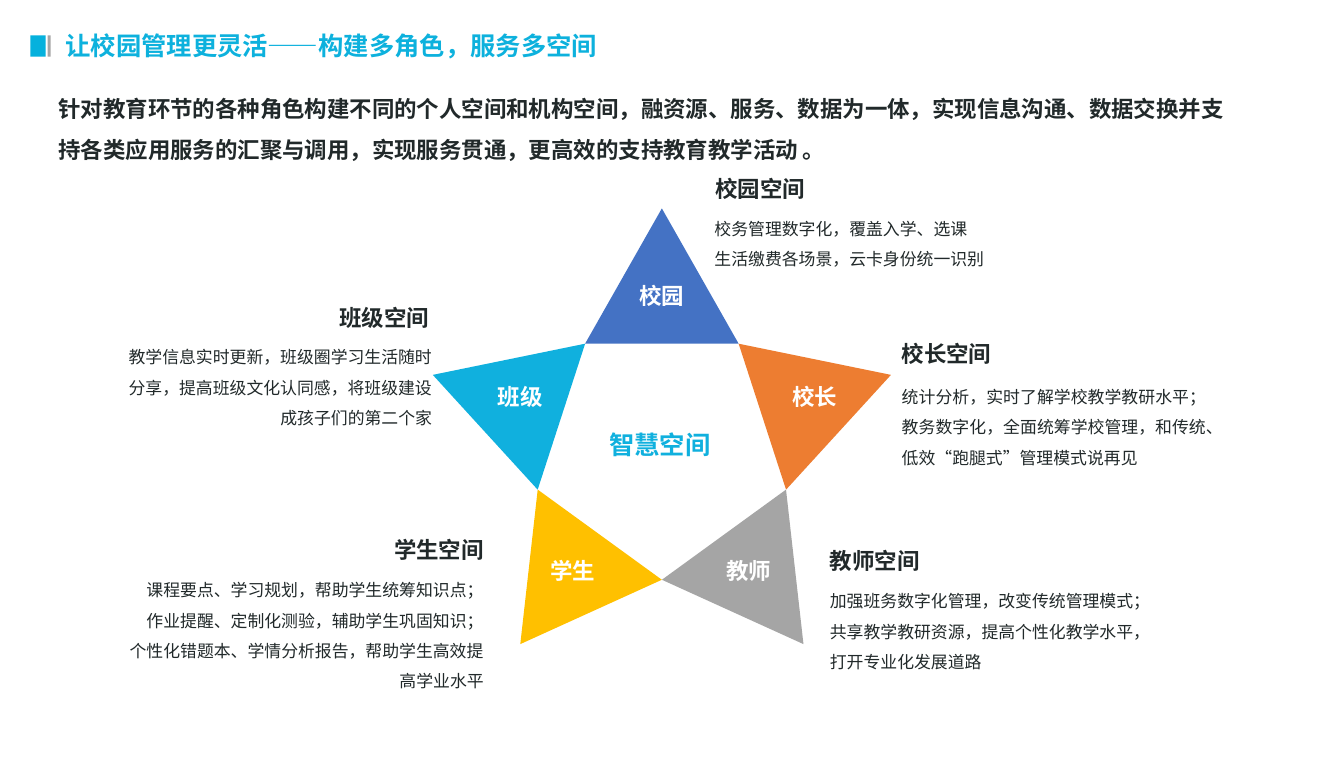
"""Build a slide showing the five role spaces of a smart campus as a star."""
import math

import pptx
import pptx.dml.color
import pptx.enum.shapes
import pptx.enum.text
import pptx.util

CELL = 0.1
COLUMNS, ROWS = 132.8, 75.2
COLORS = {
    "ink": "21292A", "white": "FFFFFF", "title": "0DB1DD", "cyan": "10B0DE",
    "marker": "05B1DD", "marker_gray": "A6A6A6", "blue": "4472C4",
    "orange": "ED7D31", "gray": "A5A5A5", "yellow": "FFC000",
}

TITLE = "让校园管理更灵活——构建多角色，服务多空间"
INTRO = ("针对教育环节的各种角色构建不同的个人空间和机构空间，融资源、服务、数据为一体，"
         "实现信息沟通、数据交换并支持各类应用服务的汇聚与调用，实现服务贯通，"
         "更高效的支持教育教学活动 。")
CENTER_LABEL = "智慧空间"

CENTER = (65.4, 44.4)
TIP_RADIUS, INNER_RADIUS = 23.8, 12.9
LABEL_SIZE = (5.2, 2.7)
HEADING_SIZE = (18.4, 2.7)

SPACES = [
    {"role": "校园", "color": "blue", "label": (62.8, 27.9), "heading": (70.7, 17.3),
     "body": (70.6, 20.6, 30.8, 5.7), "align": "JUSTIFY", "font": "Lato",
     "lines": ["校务管理数字化，覆盖入学、选课", "生活缴费各场景，云卡身份统一识别"]},
    {"role": "校长", "color": "orange", "label": (77.9, 37.9), "heading": (89.1, 33.6),
     "body": (89.1, 37.2, 30.1, 8.7), "align": "JUSTIFY", "font": "Arial",
     "lines": ["统计分析，实时了解学校教学教研水平；教务数字化，全面统筹学校管理，"
               "和传统、低效“跑腿式”管理模式说再见"]},
    {"role": "教师", "color": "gray", "label": (71.4, 55), "heading": (82, 54.1),
     "body": (82, 57.4, 32.2, 8.7), "align": "JUSTIFY", "font": "Lato",
     "lines": ["加强班务数字化管理，改变传统管理模式；",
               "共享教学教研资源，提高个性化教学水平，", "打开专业化发展道路"]},
    {"role": "学生", "color": "yellow", "label": (54, 55), "heading": (29.4, 53),
     "body": (11.9, 56.3, 35.9, 14.8), "align": "RIGHT", "font": "Arial",
     "lines": ["课程要点、学习规划，帮助学生统筹知识点；",
               "作业提醒、定制化测验，辅助学生巩固知识；",
               "个性化错题本、学情分析报告，帮助学生高效提高学业水平"]},
    {"role": "班级", "color": "cyan", "label": (48.8, 37.9), "heading": (24, 30),
     "body": (11.9, 33.3, 30.8, 8.7), "align": "RIGHT", "font": "Arial",
     "lines": ["教学信息实时更新，班级圈学习生活随时分享，提高班级文化认同感，"
               "将班级建设成孩子们的第二个家"]},
]


def grid(*cells):
    return [pptx.util.Inches(cell * CELL) for cell in cells]


def paint(shape, color):
    shape.shadow.inherit = False
    shape.fill.solid()
    shape.fill.fore_color.rgb = pptx.dml.color.RGBColor.from_string(COLORS[color])
    shape.line.fill.background()


def add_text(page, place, lines, *, size, color="ink", font="Lato", bold=True,
             align="LEFT", spacing=1.0, inset=False, grow=True):
    box = page.shapes.add_textbox(*grid(*place))
    frame = box.text_frame
    frame.word_wrap = True
    if grow:
        frame.auto_size = pptx.enum.text.MSO_AUTO_SIZE.SHAPE_TO_FIT_TEXT
    if not inset:
        frame.margin_left = frame.margin_right = 0
        frame.margin_top = frame.margin_bottom = 0
    for index, line in enumerate(lines):
        para = frame.add_paragraph() if index else frame.paragraphs[0]
        para.alignment = getattr(pptx.enum.text.PP_ALIGN, align)
        para.line_spacing = spacing
        span = para.add_run()
        span.text = line
        span.font.name = font
        span.font.size = pptx.util.Pt(size)
        span.font.bold = bold
        span.font.color.rgb = pptx.dml.color.RGBColor.from_string(COLORS[color])


def star_point(radius, degrees):
    angle = math.radians(degrees)
    return tuple(grid(CENTER[0] + radius * math.sin(angle),
                      CENTER[1] - radius * math.cos(angle)))


def add_star_arm(page, degrees, color):
    builder = page.shapes.build_freeform(*star_point(TIP_RADIUS, degrees))
    builder.add_line_segments([star_point(INNER_RADIUS, degrees + 36),
                               star_point(INNER_RADIUS, degrees - 36)], close=True)
    paint(builder.convert_to_shape(), color)


def main():
    deck = pptx.Presentation()
    deck.slide_width, deck.slide_height = grid(COLUMNS, ROWS)
    page = deck.slides.add_slide(deck.slide_layouts[6])

    for left, width, color in [(3, 1.5, "marker"), (4.7, 0.3, "marker_gray")]:
        marker = page.shapes.add_shape(pptx.enum.shapes.MSO_SHAPE.RECTANGLE,
                                       *grid(left, 3.5, width, 2.1))
        paint(marker, color)
    add_text(page, (5.5, 2.8, 57.3, 3.1), [TITLE], size=18, color="title",
             spacing=0.9, inset=True, grow=False)
    add_text(page, (4.8, 7.6, 117.7, 8.6), [INTRO], size=16, spacing=1.5, inset=True)

    for index, space in enumerate(SPACES):
        add_star_arm(page, index * 360 / len(SPACES), space["color"])
        add_text(page, space["label"] + LABEL_SIZE, [space["role"]], size=16,
                 color="white", align="CENTER")
        heading_align = "RIGHT" if space["align"] == "RIGHT" else "LEFT"
        add_text(page, space["heading"] + HEADING_SIZE, [space["role"] + "空间"],
                 size=16, align=heading_align)
        add_text(page, space["body"], space["lines"], size=12, font=space["font"],
                 bold=False, align=space["align"], spacing=1.5)

    add_text(page, (59.8, 42.4, 10.8, 3), [CENTER_LABEL], size=18, color="cyan",
             align="CENTER")
    deck.save("out.pptx")


if __name__ == "__main__":
    main()
